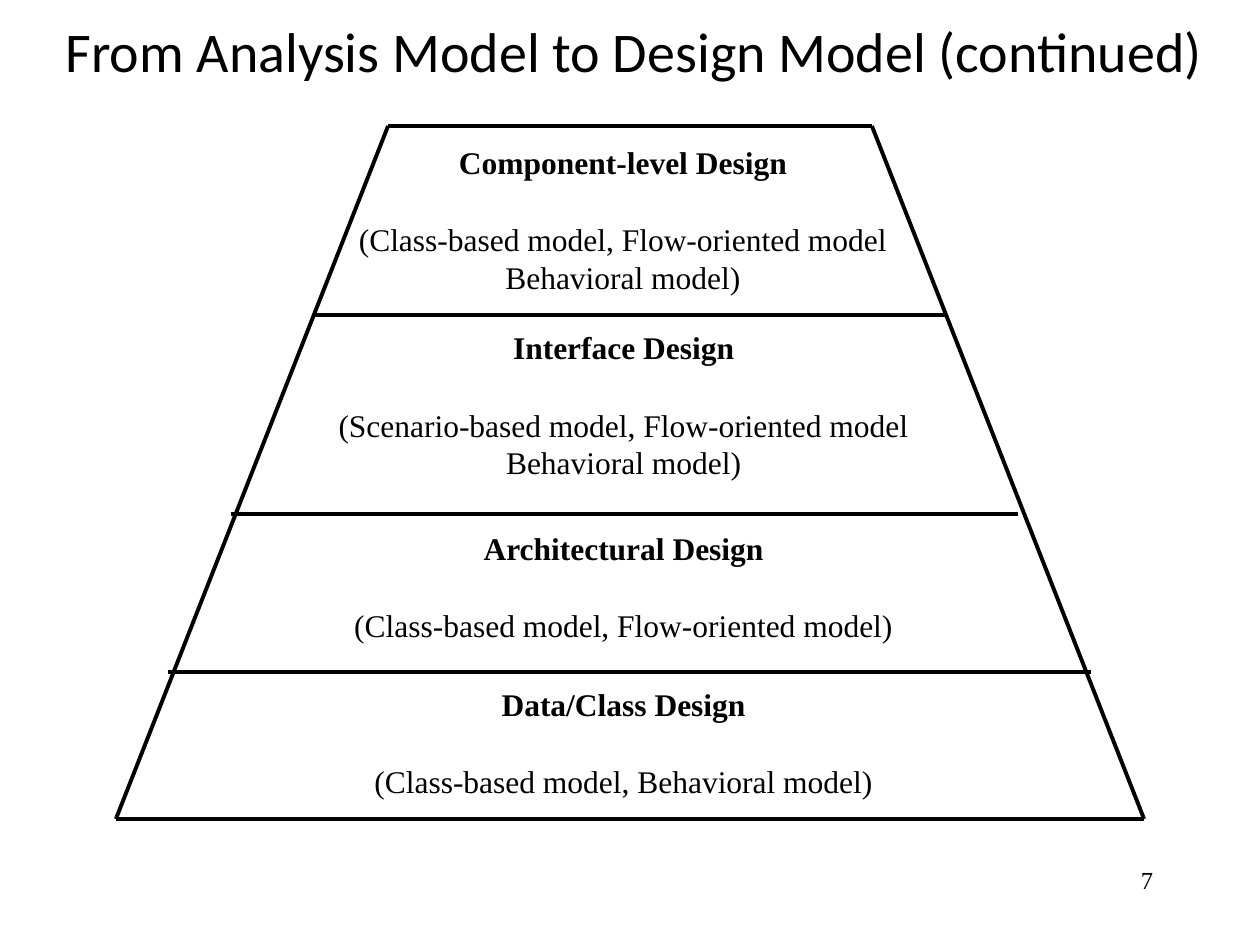
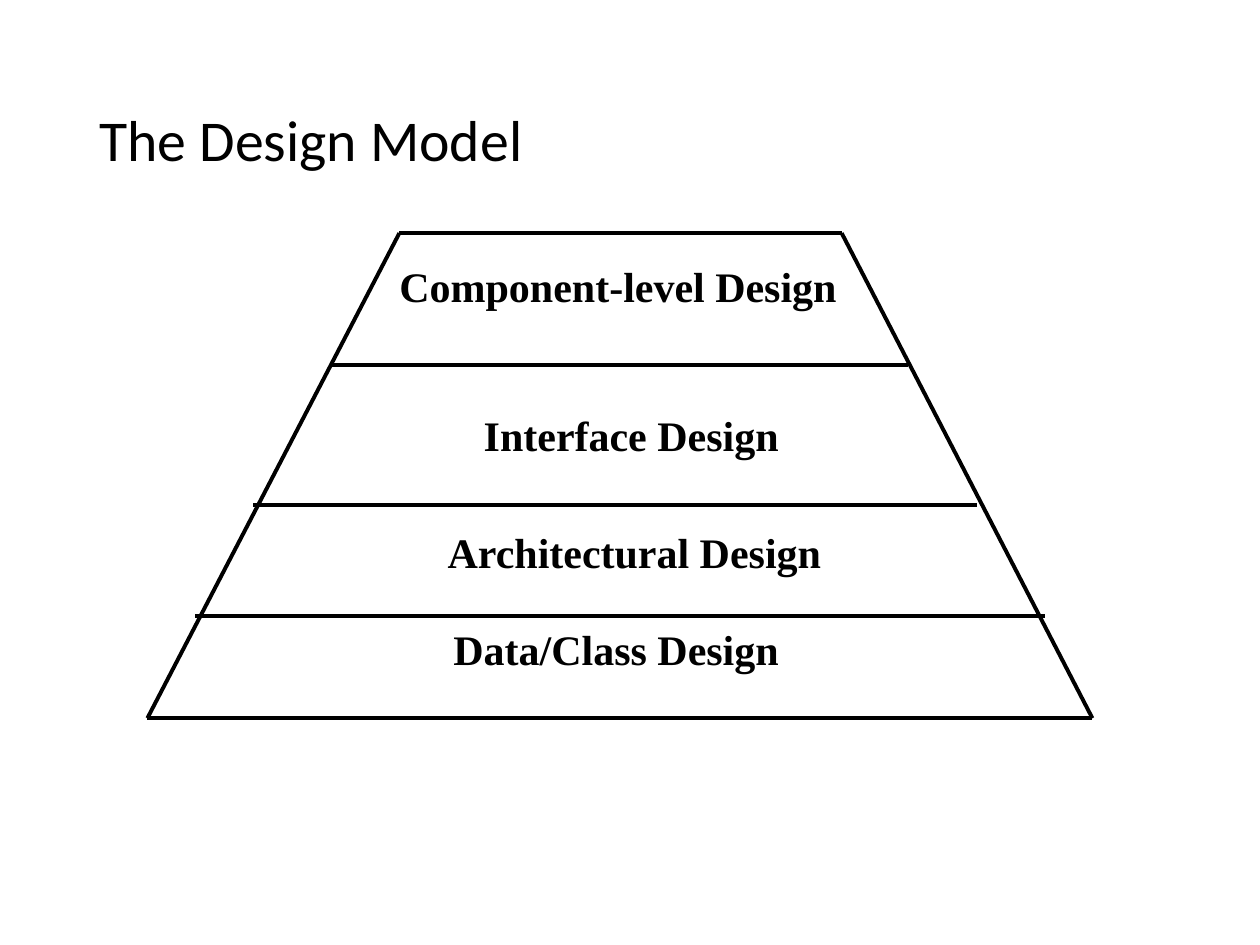
from lxml.etree import SubElement
from pptx import Presentation
from pptx.dml.color import RGBColor
from pptx.enum.shapes import MSO_CONNECTOR
from pptx.enum.text import MSO_ANCHOR, MSO_AUTO_SIZE, PP_ALIGN
from pptx.oxml.ns import qn
from pptx.util import Pt

PX = 9144  # EMU in one px, 100 px to the inch
COLORS = {"ink": "000000", "paper": "FFFFFF"}
TITLE_FONT = "Calibri"
BODY_FONT = "Times New Roman"
TITLE_ONLY = 5


class DesignDeck:
    """Holds the shared style and the slide being built."""

    def __init__(self):
        self.deck = Presentation()
        self.deck.slide_width, self.deck.slide_height = 1000 * PX, 750 * PX
        self.slide = None

    def new_slide(self):
        self.slide = self.deck.slides.add_slide(self.deck.slide_layouts[TITLE_ONLY])
        background = self.slide.background.fill
        background.solid()
        background.fore_color.rgb = RGBColor.from_string(COLORS["paper"])

    def add_run(self, paragraph, text, size, font=BODY_FONT, bold=False):
        run = paragraph.add_run()
        run.text = text
        run.font.name, run.font.size, run.font.bold = font, Pt(size), bold
        run.font.color.rgb = RGBColor.from_string(COLORS["ink"])

    def title(self, text, box, size, spacing):
        heading = self.slide.shapes.title
        heading.left, heading.top, heading.width, heading.height = (n * PX for n in box)
        frame = heading.text_frame
        frame.auto_size = MSO_AUTO_SIZE.NONE
        frame.vertical_anchor = MSO_ANCHOR.MIDDLE
        paragraph = frame.paragraphs[0]
        paragraph.alignment = PP_ALIGN.LEFT
        paragraph.line_spacing = spacing
        self.add_run(paragraph, text, size, TITLE_FONT)

    def text(self, box, lines, size, align=PP_ALIGN.CENTER, bold_first=True, wrap=False):
        """The first line is the label; the lines below it stand one line apart."""
        frame = self.slide.shapes.add_textbox(*(n * PX for n in box)).text_frame
        frame.word_wrap = wrap
        for index, line in enumerate(lines):
            paragraph = frame.add_paragraph() if index else frame.paragraphs[0]
            paragraph.alignment = align
            if index == 0:
                paragraph.line_spacing = 0.95
            elif index == 1:
                paragraph.space_before = Pt(22)
            self.add_run(paragraph, line, size, bold=bold_first and index == 0)

    def line(self, x1, y1, x2, y2):
        edge = self.slide.shapes.add_connector(
            MSO_CONNECTOR.STRAIGHT, x1 * PX, y1 * PX, x2 * PX, y2 * PX)
        edge.line.color.rgb = RGBColor.from_string(COLORS["ink"])
        edge.line.width = Pt(2.25)
        SubElement(edge._element.spPr, qn("a:effectLst"))

    def pyramid(self, levels):
        """Draw each level (left, right, y) and the two slopes from first to last."""
        (top_left, top_right, top), (base_left, base_right, base) = levels[0], levels[-1]
        self.line(top_left, top, base_left, base)
        self.line(top_right, top, base_right, base)
        for left, right, y in levels:
            self.line(left, y, right, y)


def main():
    design = DesignDeck()

    # Design layers with the analysis models that feed them
    design.new_slide()
    design.title("From Analysis Model to Design Model (continued)",
                 (42, 13, 925, 60), 32, 0.9)
    design.pyramid([(308, 692, 100), (250, 750, 250), (183, 808, 408),
                    (133, 866, 533), (92, 908, 650)])
    layers = [
        ((271, 111, 447, 129), ["Component-level Design",
                                "(Class-based model, Flow-oriented model",
                                "Behavioral model)"]),
        ((255, 258, 480, 129), ["Interface Design",
                                "(Scenario-based model, Flow-oriented model",
                                "Behavioral model)"]),
        ((267, 417, 456, 99), ["Architectural Design",
                               "(Class-based model, Flow-oriented model)"]),
        ((283, 541, 424, 99), ["Data/Class Design",
                               "(Class-based model, Behavioral model)"]),
    ]
    for box, lines in layers:
        design.text(box, lines, 18)
    # Page number
    design.text((717, 683, 208, 32), ["7"], 14, PP_ALIGN.RIGHT,
                bold_first=False, wrap=True)

    # Design layers alone, under the same labels
    design.new_slide()
    design.title("The Design Model", (69, 40, 863, 145), 33, 0.95)
    design.pyramid([(317, 668, 185), (263, 721, 290), (201, 775, 401),
                    (155, 829, 489), (117, 867, 570)])
    label_boxes = [(303, 205, 375, 88), (370, 323, 262, 88),
                   (341, 416, 325, 88), (346, 493, 286, 88)]
    for box, (_, lines) in zip(label_boxes, layers):
        design.text(box, lines[:1], 24)

    design.deck.save("out.pptx")


if __name__ == "__main__":
    main()
